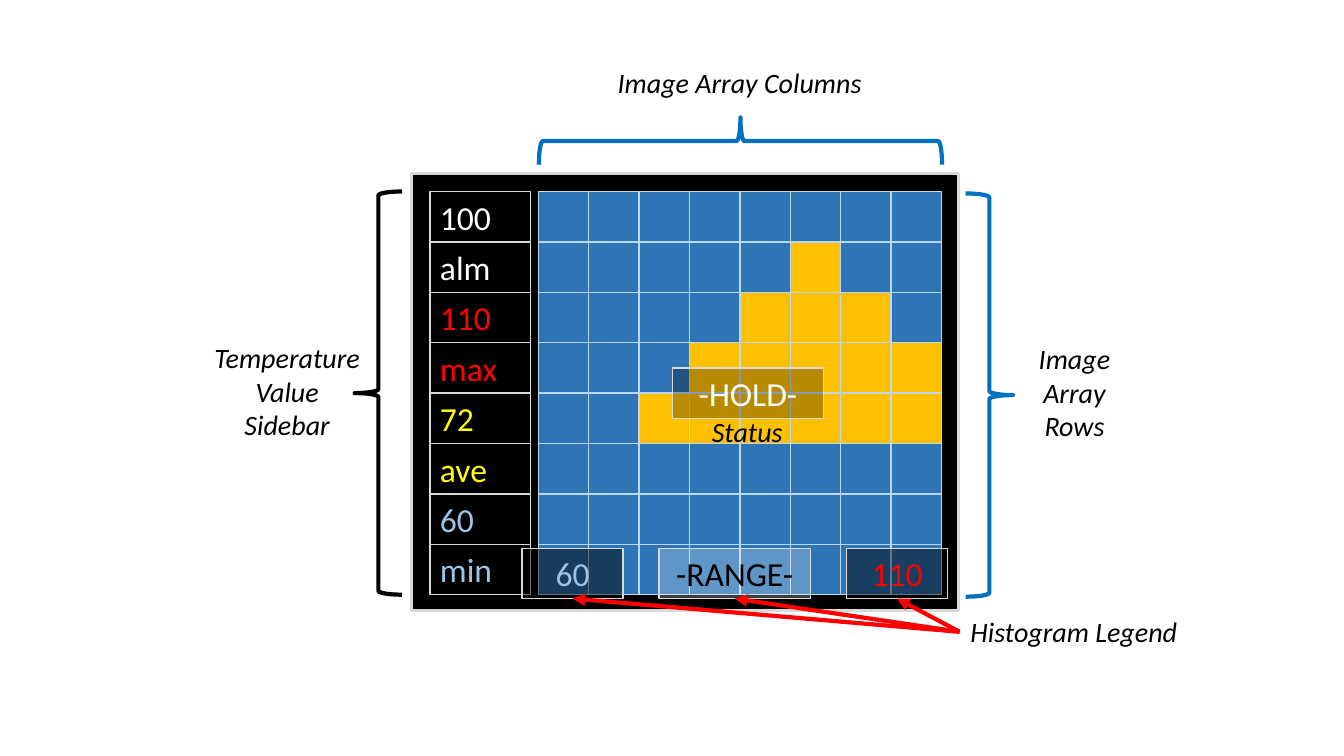
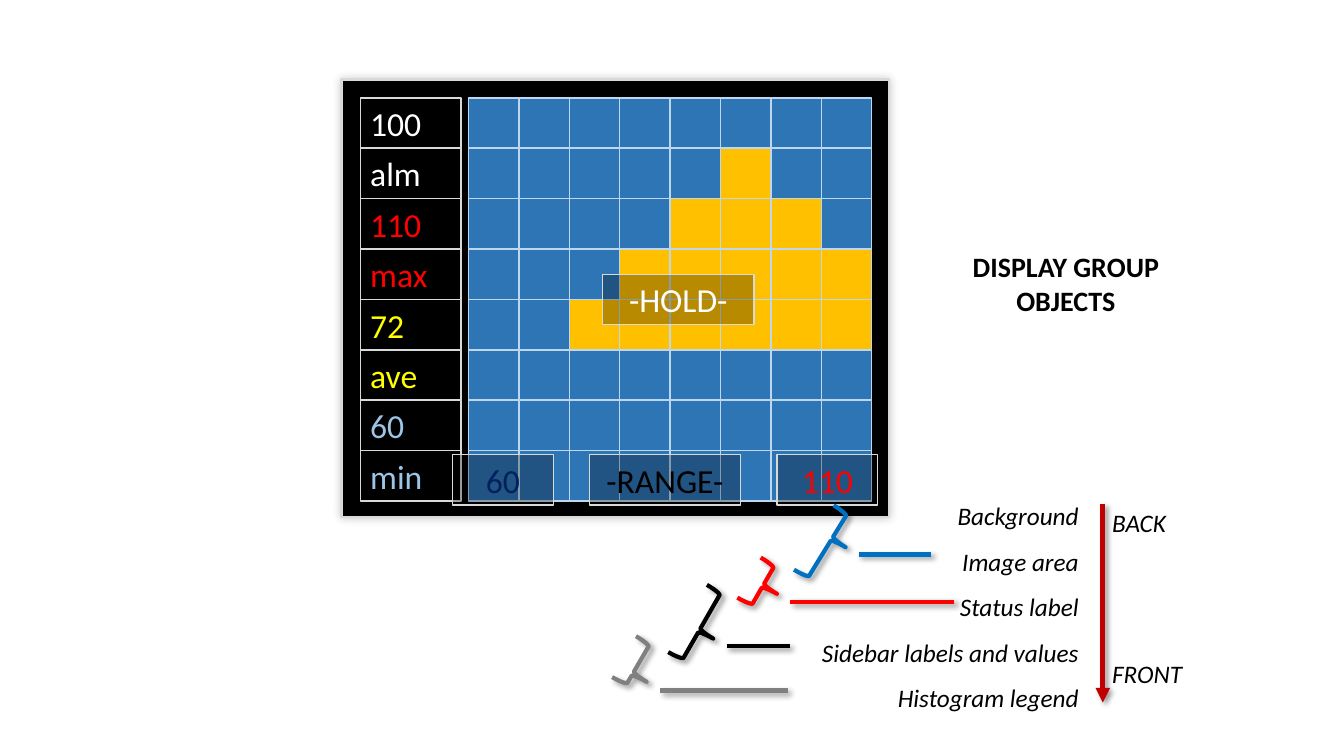
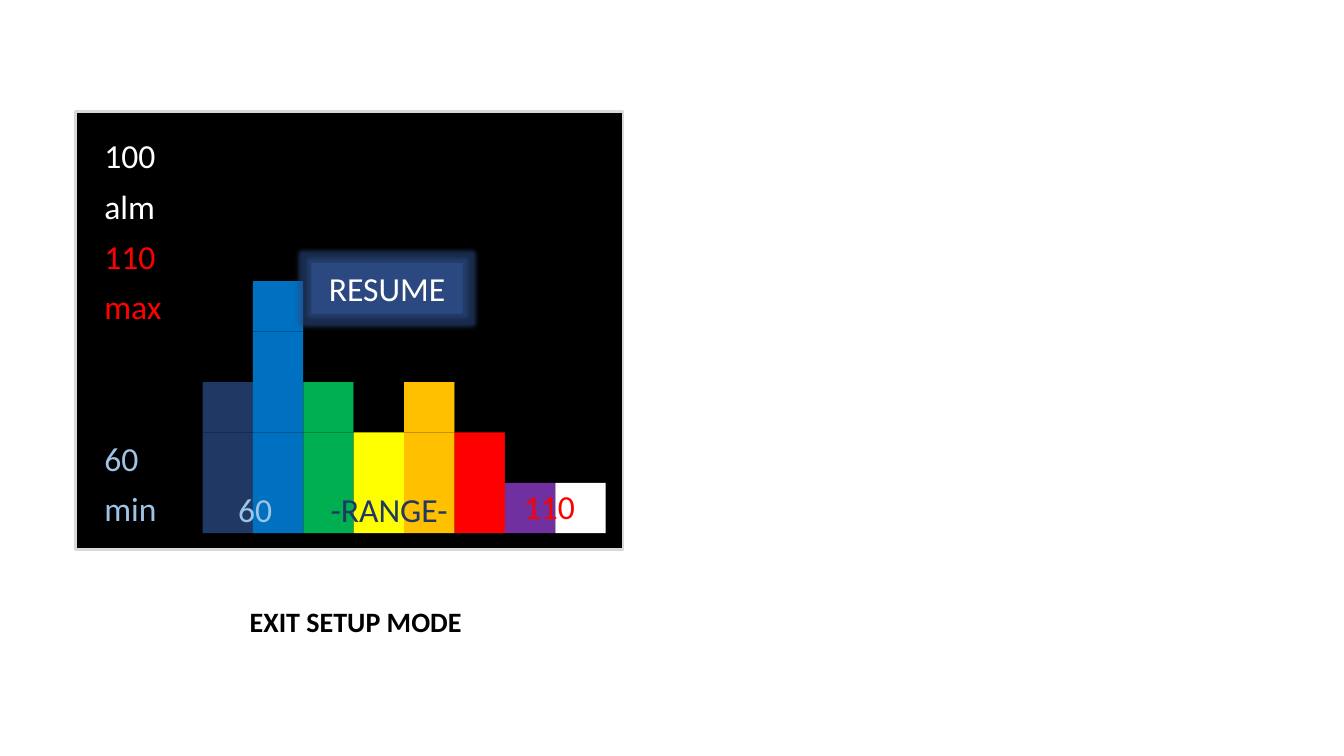
from lxml import etree
from pptx import Presentation
from pptx.dml.color import RGBColor
from pptx.enum import shapes, text
from pptx.oxml.ns import qn
from pptx.util import Pt

# Colours
BLACK = RGBColor(0x00, 0x00, 0x00)
WHITE = RGBColor(0xFF, 0xFF, 0xFF)
RED = RGBColor(0xFF, 0x00, 0x00)
DARK_RED = RGBColor(0xC0, 0x00, 0x00)
YELLOW = RGBColor(0xFF, 0xFF, 0x00)
AMBER = RGBColor(0xFF, 0xC0, 0x00)
GREEN = RGBColor(0x00, 0xB0, 0x50)
PURPLE = RGBColor(0x70, 0x30, 0xA0)
BLUE = RGBColor(0x00, 0x70, 0xC0)
COOL_BLUE = RGBColor(0x2E, 0x75, 0xB6)
PALE_BLUE = RGBColor(0xBD, 0xD7, 0xEE)
LIGHT_BLUE = RGBColor(0x9D, 0xC3, 0xE6)
NAVY = RGBColor(0x20, 0x38, 0x64)
DEEP_NAVY = RGBColor(0x00, 0x20, 0x60)
BUTTON_BLUE = RGBColor(0x2B, 0x49, 0x80)
SILVER = RGBColor(0xD9, 0xD9, 0xD9)
GRAY = RGBColor(0x80, 0x80, 0x80)

LEFT, CENTER, RIGHT = text.PP_ALIGN.LEFT, text.PP_ALIGN.CENTER, text.PP_ALIGN.RIGHT
RECT = shapes.MSO_SHAPE.RECTANGLE
BRACE = shapes.MSO_SHAPE.LEFT_BRACE

# Display geometry, in points from the panel's top left corner
CELL = 36
PANEL_SIZE = (391, 312.5)
GRID_AT = (90.7, 13)
SIDEBAR_AT = (13.4, 13)

# Pixel rows, top to bottom
PIXELS = {"A": AMBER, "N": NAVY, "B": BLUE, "G": GREEN,
          "Y": YELLOW, "R": RED, "P": PURPLE, "W": WHITE}
HEAT_IMAGE = ["........", ".....A..", "....AAA.", "...AAAAA",
              "..AAAAAA", "........", "........", "........"]
HISTOGRAM = ["........", "........", "........", ".B......",
             ".B......", "NBG.A...", "NBGYAR..", "NBGYARPW"]
SIDEBAR = [("100", WHITE), ("alm", WHITE), ("110", RED), ("max", RED),
           ("72", YELLOW), ("ave", YELLOW), ("60", LIGHT_BLUE), ("min", LIGHT_BLUE)]

SOFT_SHADOW = dict(opacity=40, blur=4, distance=3, angle=45)
PANEL_SHADOW = dict(opacity=20, blur=6, distance=0, angle=315)


class Sketch:
    """Holds the deck, the current page and the shared style."""

    font = "Calibri"

    def __init__(self):
        self.deck = Presentation()
        self.deck.slide_width, self.deck.slide_height = Pt(960), Pt(540)

    def new_page(self):
        self.page = self.deck.slides.add_slide(self.deck.slide_layouts[6])
        self.target = self.page.shapes

    def effect(self, item, kind=None, color=BLACK, opacity=100, **lengths):
        """Replace the theme effect by one effect, or by none."""
        properties = item._element.spPr
        effects = properties.find(qn("a:effectLst"))
        if effects is None:
            effects = etree.SubElement(properties, qn("a:effectLst"))
        if kind:
            node = etree.SubElement(effects, qn(kind), {k: str(v) for k, v in lengths.items()})
            tint = etree.SubElement(node, qn("a:srgbClr"), val=str(color))
            etree.SubElement(tint, qn("a:alpha"), val=str(opacity * 1000))

    def shadow(self, item, opacity, blur, distance, angle):
        self.effect(item, "a:outerShdw", BLACK, opacity, blurRad=Pt(blur),
                    dist=Pt(distance), dir=angle * 60000, rotWithShape=0)

    def fill_text(self, frame, words, size, color, align, bold=None, italic=None, spacing=None):
        for number, line in enumerate(words.split("\n")):
            para = frame.add_paragraph() if number else frame.paragraphs[0]
            para.text, para.alignment = line, align
            para.line_spacing = spacing
            font = para.font
            font.name, font.size, font.color.rgb = self.font, Pt(size), color
            font.bold, font.italic = bold, italic

    def shape(self, kind, x, y, width, height, fill=None, line=None, weight=1, opacity=None):
        item = self.target.add_shape(kind, Pt(x), Pt(y), Pt(width), Pt(height))
        item.shadow.inherit = False
        if fill is None:
            item.fill.background()
        else:
            item.fill.solid()
            item.fill.fore_color.rgb = fill
        if opacity is not None:
            tint = item._element.spPr.find(qn("a:solidFill"))[0]
            etree.SubElement(tint, qn("a:alpha"), val=str(opacity * 1000))
        if line is None:
            item.line.fill.background()
        else:
            item.line.color.rgb, item.line.width = line, Pt(weight)
        return item

    def box(self, words, x, y, width, color, fill=BLACK, line=SILVER, opacity=None, align=CENTER):
        item = self.shape(RECT, x, y, width, CELL, fill, line, opacity=opacity)
        self.fill_text(item.text_frame, words, 24, color, align)
        return item

    def label(self, words, x, y, width, height, size=20, color=BLACK, align=CENTER,
              wrap=False, middle=False, **style):
        item = self.target.add_textbox(Pt(x), Pt(y), Pt(width), Pt(height))
        item.text_frame.word_wrap = wrap
        if middle:
            item.text_frame.vertical_anchor = text.MSO_ANCHOR.MIDDLE
        self.fill_text(item.text_frame, words, size, color, align, **style)
        return item

    def brace(self, x, y, width, height, color, rotation=0, point=None):
        item = self.shape(BRACE, x, y, width, height, line=color, weight=3)
        item.rotation = rotation
        if point is not None:
            item.adjustments[1] = point
            self.shadow(item, **SOFT_SHADOW)

    def line(self, x1, y1, x2, y2, color, weight=3, arrow=False, shadow=None):
        item = self.target.add_connector(
            shapes.MSO_CONNECTOR.STRAIGHT, Pt(x1), Pt(y1), Pt(x2), Pt(y2))
        item.line.color.rgb, item.line.width = color, Pt(weight)
        if arrow:
            outline = item._element.spPr.find(qn("a:ln"))
            etree.SubElement(outline, qn("a:tailEnd"), type="triangle")
        self.effect(item)
        if shadow:
            self.shadow(item, **shadow)
        return item

    def display(self, x, y, rows, base, cell_line=None, label_line=None, skip=(), shadow=None):
        """Black panel with its pixel grid and sidebar, as one group."""
        self.target = self.page.shapes.add_group_shape().shapes
        panel = self.shape(RECT, x, y, *PANEL_SIZE, BLACK, SILVER, 2)
        if shadow:
            self.shadow(panel, **shadow)
        for column in range(8):
            for row in range(8):
                self.shape(RECT, x + GRID_AT[0] + column * CELL, y + GRID_AT[1] + row * CELL,
                           CELL, CELL, PIXELS.get(rows[row][column], base), cell_line)
        for row, (words, color) in enumerate(SIDEBAR):
            if words not in skip:
                self.box(words, x + SIDEBAR_AT[0], y + SIDEBAR_AT[1] + row * CELL, 2 * CELL,
                         color, line=label_line, align=LEFT)
        self.target = self.page.shapes

    def overlays(self, x, y, legend):
        """Hold status and the three legend boxes; returns the legend boxes."""
        self.box("-HOLD-", x + 186.5, y + 139, 108, WHITE, opacity=28)
        spots = [("60", 79.2, 72), ("-RANGE-", 177, 108), ("110", 311, 72)]
        return [self.box(words, x + left, y + 267.8, width, color, fill, opacity=opacity)
                for (words, left, width), (color, fill, opacity) in zip(spots, legend)]


def display_parts(sketch):
    sketch.new_page()
    x, y = 293.8, 123.8
    sketch.display(x, y, HEAT_IMAGE, COOL_BLUE, PALE_BLUE, SILVER)
    legend = sketch.overlays(x, y, [(LIGHT_BLUE, BLACK, 48), (BLACK, WHITE, 24), (RED, BLACK, 46)])

    # Captions and braces
    for words, left, top, width, height in [
            ("Temperature\nValue\nSidebar", 145.4, 239.8, 119.5, 80),
            ("Image Array Columns", 433.4, 43.2, 190, 31.7),
            ("Status", 501, 292.3, 65.5, 31.7),
            ("Image\nArray\nRows", 734.4, 240.5, 66.2, 80)]:
        sketch.label(words, left, top, width, height, italic=True)
    sketch.brace(253.4, 136.8, 33.8, 288, BLACK)
    sketch.brace(689.8, 138.2, 33.8, 288, BLUE, 180)
    sketch.brace(512, -43.2, 33.8, 288, BLUE, 90)

    # Legend caption with arrows
    caption = sketch.label("Histogram Legend", 685.4, 435.6, 163.4, 31.4, italic=True)
    for item in legend:
        arrow = sketch.line(685.4, 451, 640, 428, RED, arrow=True)
        arrow.begin_connect(caption, 1)
        arrow.end_connect(item, 2)


def display_layers(sketch):
    sketch.new_page()
    x, y = 244, 56.9
    sketch.display(x, y, HEAT_IMAGE, COOL_BLUE, PALE_BLUE, SILVER, shadow=PANEL_SHADOW)
    sketch.overlays(x, y, [(color, BLACK, 28) for color in (DEEP_NAVY, BLACK, RED)])
    sketch.label("DISPLAY GROUP\nOBJECTS", 686.9, 175, 149, 55.4, bold=True)

    # Layer braces and leader lines
    for left, top, height, color, rotation, point in [
            (444.2, 457.9, 33.8, GRAY, 210.2, 0.28),
            (579.6, 362.9, 54, BLUE, 211.6, 0.61),
            (489.6, 419.8, 55.4, BLACK, 209.9, 0.44),
            (533.5, 401.8, 33.1, RED, 210.2, 0.5)]:
        sketch.brace(left, top, 23, height, color, rotation, point)
    for start, end, top, color in [(665.3, 613.4, 396, BLUE), (681.8, 564.5, 429.8, RED),
                                   (564.5, 519, 461.5, BLACK), (563, 471.6, 493.2, GRAY)]:
        sketch.line(start, top, end, top, color, shadow=SOFT_SHADOW)

    # Layer names and stacking order
    sketch.label("Background\nImage area\nStatus label\nSidebar labels and values\nHistogram legend",
                 541.4, 343.4, 236.2, 167.8, 18, align=RIGHT, wrap=True, italic=True, spacing=1.5)
    sketch.line(787.7, 360, 787.7, 501.8, DARK_RED, 3.5, arrow=True, shadow=SOFT_SHADOW)
    for words, top, width in [("BACK", 358.6, 53.3), ("FRONT", 466.6, 64.8)]:
        sketch.label(words, 787, top, width, 28.8, 18, italic=True)


def exit_setup(sketch):
    sketch.new_page()
    x, y = 54, 79.9
    sketch.label("EXIT SETUP MODE", 170.6, 428.4, 167, 31.7, bold=True)
    sketch.display(x, y, HISTOGRAM, BLACK, skip=("72", "ave"))
    for words, left, top, width, color in [("60", 146.2, 345.6, 72, LIGHT_BLUE),
                                           ("-RANGE-", 224, 345.6, 108, NAVY),
                                           ("110", 356.4, 343.4, 72, RED)]:
        sketch.label(words, left, top, width, CELL, 24, color, wrap=True, middle=True)
    button = sketch.box("RESUME", 222.5, 188, 108, WHITE, BUTTON_BLUE, None)
    sketch.effect(button, "a:glow", BUTTON_BLUE, 60, rad=Pt(6))


def main():
    sketch = Sketch()
    display_parts(sketch)
    display_layers(sketch)
    exit_setup(sketch)
    sketch.deck.save("out.pptx")


if __name__ == "__main__":
    main()
